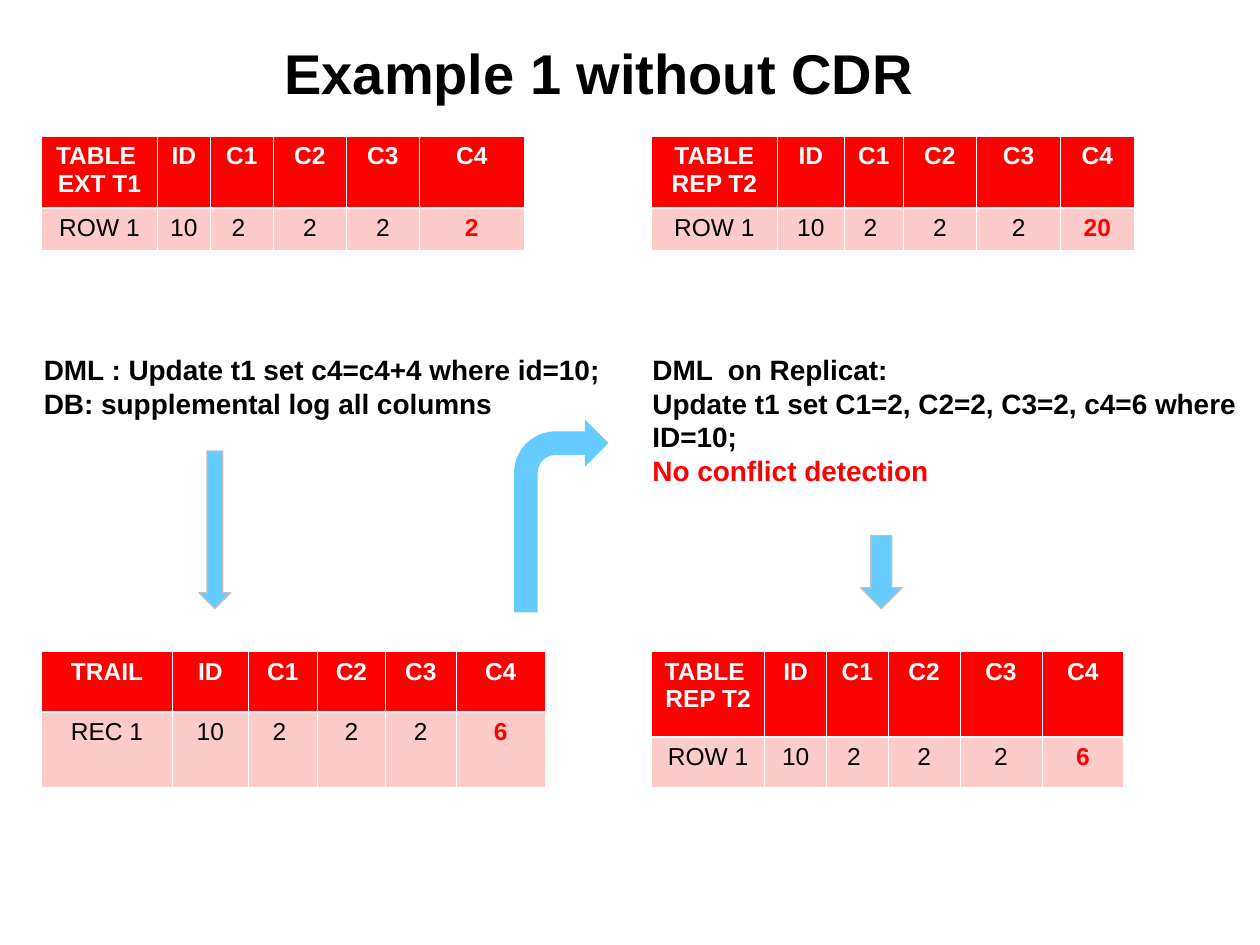
"""Build the slide that walks through a replicated update without conflict detection."""
import pptx
import pptx.dml.color
import pptx.enum.shapes
import pptx.enum.text
import pptx.oxml
import pptx.oxml.ns
import pptx.util

Inches = pptx.util.Inches
ALIGN = pptx.enum.text.PP_ALIGN
SHAPE = pptx.enum.shapes.MSO_SHAPE

COLORS = {
    "text": "000000",
    "white": "FFFFFF",
    "header": "FD0000",
    "row": "FECBCB",
    "alert": "FF0000",
    "arrow": "66CCFF",
    "outline": "C0C0C0",
}
THIN, THICK = 0.45, 1.47
LEFT, RIGHT = 0.33, 5.17
UPPER, LOWER = 1.08, 5.17

TITLE = "Example 1 without CDR"
COLUMN_NAMES = ["ID", "C1", "C2", "C3", "C4"]
SHARED_VALUES = ["10", "2 ", "2", "2"]
TABLES = [
    {"name": ["TABLE ", "EXT T1"], "record": "ROW 1", "c4": "2", "at": (LEFT, UPPER),
     "widths": [0.92, 0.42, 0.5, 0.58, 0.58, 0.83], "heights": [0.57, 0.33]},
    {"name": ["TRAIL"], "record": "REC 1", "c4": "6", "at": (LEFT, LOWER),
     "widths": [1.04, 0.6, 0.55, 0.54, 0.56, 0.71], "heights": [0.48, 0.6]},
    {"name": ["TABLE", "REP T2"], "record": "ROW 1", "c4": "20", "at": (RIGHT, UPPER),
     "widths": [1, 0.53, 0.47, 0.58, 0.67, 0.58], "heights": [0.57, 0.34]},
    {"name": ["TABLE ", "REP T2"], "record": "ROW 1", "c4": "6", "at": (RIGHT, LOWER),
     "widths": [0.9, 0.49, 0.49, 0.57, 0.65, 0.65], "heights": [0.68, 0.4]},
]
STATEMENTS = [
    ((0.25, 2.75, 4.67, 0.64), [
        ("DML : Update t1 set c4=c4+4 where id=10;", "text"),
        ("DB: supplemental log all columns", "text"),
    ]),
    ((5.08, 2.75, 4.92, 1.44), [
        ("DML  on Replicat:", "text"),
        ("Update t1 set C1=2, C2=2, C3=2, c4=6 where ID=10;", "text"),
        ("No conflict detection", "alert"),
    ]),
]
ARROWS = [
    (SHAPE.DOWN_ARROW, (1.58, 3.58, 0.25, 1.25), "outline"),
    (SHAPE.DOWN_ARROW, (6.83, 4.25, 0.33, 0.58), "outline"),
    (SHAPE.BENT_ARROW, (4.08, 3.33, 0.75, 1.53), None),
]


def rgb(name):
    return pptx.dml.color.RGBColor.from_string(COLORS[name])


def write(frame, lines, size=14, bold=True, align=ALIGN.LEFT):
    for index, (text, color) in enumerate(lines):
        paragraph = frame.add_paragraph() if index else frame.paragraphs[0]
        paragraph.alignment = align
        run = paragraph.add_run()
        run.text = text
        run.font.name = "Arial"
        run.font.size = pptx.util.Pt(size)
        run.font.bold = bold
        run.font.color.rgb = rgb(color)


def add_text(slide, box, lines, **style):
    frame = slide.shapes.add_textbox(*map(Inches, box)).text_frame
    frame.word_wrap = True
    write(frame, lines, **style)
    return frame


def add_borders(cell, top, bottom):
    properties = cell._tc.get_or_add_tcPr()
    sides = {"lnL": THIN, "lnR": THIN, "lnT": top, "lnB": bottom}
    for position, (side, points) in enumerate(sides.items()):
        border = pptx.oxml.parse_xml(
            f'<a:{side} {pptx.oxml.ns.nsdecls("a")} w="{pptx.util.Pt(points)}">'
            f'<a:solidFill><a:srgbClr val="{COLORS["white"]}"/></a:solidFill></a:{side}>'
        )
        properties.insert(position, border)


def fill_cell(cell, lines, fill, bold, top=THIN, bottom=THIN):
    write(cell.text_frame, lines, bold=bold, align=ALIGN.CENTER)
    cell.fill.solid()
    cell.fill.fore_color.rgb = rgb(fill)
    add_borders(cell, top, bottom)


def add_data_table(slide, data):
    widths, heights = data["widths"], data["heights"]
    size = (sum(widths), sum(heights))
    table = slide.shapes.add_table(
        2, len(widths), *map(Inches, data["at"] + size)).table
    for column, width in zip(table.columns, widths):
        column.width = Inches(width)
    for row, height in zip(table.rows, heights):
        row.height = Inches(height)

    headings = [data["name"]] + [[name] for name in COLUMN_NAMES]
    values = [data["record"], *SHARED_VALUES, data["c4"]]
    for index, (heading, value) in enumerate(zip(headings, values)):
        changed = index == len(values) - 1
        fill_cell(table.cell(0, index), [(line, "white") for line in heading],
                  "header", True, bottom=THICK)
        fill_cell(table.cell(1, index), [(value, "alert" if changed else "text")],
                  "row", changed, top=THICK)


def add_arrow(slide, kind, box, outline):
    arrow = slide.shapes.add_shape(kind, *map(Inches, box))
    arrow.shadow.inherit = False
    arrow.fill.solid()
    arrow.fill.fore_color.rgb = rgb("arrow")
    if outline:
        arrow.line.color.rgb = rgb(outline)
        arrow.line.width = pptx.util.Pt(0.75)
    else:
        arrow.line.fill.background()


def main():
    deck = pptx.Presentation()
    deck.slide_width, deck.slide_height = Inches(10), Inches(7.5)
    slide = deck.slides.add_slide(deck.slide_layouts[6])

    title = add_text(slide, (0.67, 0.25, 8.17, 0.83), [(TITLE, "text")],
                     size=32, align=ALIGN.CENTER)
    title.margin_left = title.margin_right = title.margin_bottom = 0
    title.margin_top = Inches(0.06)

    for data in TABLES:
        add_data_table(slide, data)
    for box, lines in STATEMENTS:
        add_text(slide, box, lines, size=16)
    for kind, box, outline in ARROWS:
        add_arrow(slide, kind, box, outline)
    deck.save("out.pptx")


if __name__ == "__main__":
    main()
